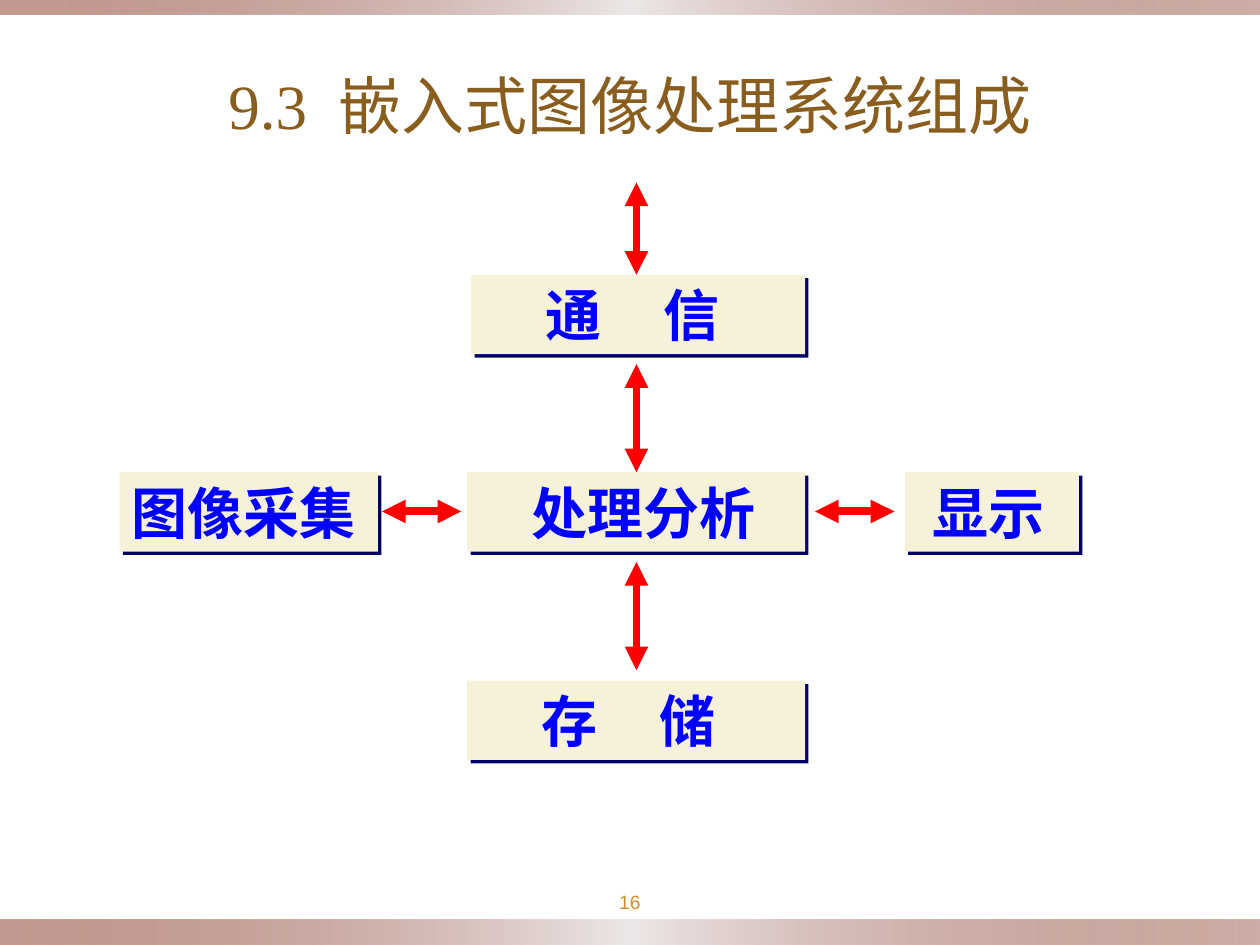
"""Build the slide on the parts of an embedded image processing system."""
import pptx
import pptx.dml.color
import pptx.enum.shapes
import pptx.enum.text
import pptx.oxml
import pptx.oxml.ns
import pptx.util

Cm = pptx.util.Cm
Pt = pptx.util.Pt
ALIGN = pptx.enum.text.PP_ALIGN
RECTANGLE = pptx.enum.shapes.MSO_SHAPE.RECTANGLE
COLORS = {
    "band": "873624", "glow": "EDE8E8", "block": "F6F2D9", "shadow": "000066",
    "label": "0000FF", "arrow": "FF0000", "title": "895D1D", "number": "D08D2C",
}
TITLE = [("9.3", 0), (" ", 9), ("嵌入式图像处理系统组成", 0)]
NUMBER = "16"
BLOCK_HEIGHT = 1.6
ROWS = {"top": 5.54, "middle": 9.52, "bottom": 13.72}
BLOCKS = [
    ("通\t信", 9.5, "top", 6.73, 1.5, ALIGN.LEFT),
    ("处理分析", 9.42, "middle", 6.81, 0.57, ALIGN.CENTER),
    ("存\t储", 9.42, "bottom", 6.81, 1.5, ALIGN.LEFT),
    ("显示", 18.24, "middle", 3.51, 0.56, ALIGN.LEFT),
    ("图像采集", 2.41, "middle", 5.21, 0.25, ALIGN.LEFT),
]
TAB_STOP = 2.38
AXIS_X = 12.83
AXIS_Y = 10.31
VERTICAL_ARROWS = [(3.68, 5.54), (7.34, 9.52), (11.33, 13.51)]
HORIZONTAL_ARROWS = [(7.7, 9.3), (16.43, 18.03)]
BANDS = [(18.54, 0.51), (0, 0.3)]


def rgb(name):
    """Return a named colour."""
    return pptx.dml.color.RGBColor.from_string(COLORS[name])


def element(tag, inner="", attributes=""):
    """Parse one DrawingML element."""
    namespace = pptx.oxml.ns.nsdecls("a")
    return pptx.oxml.parse_xml(f"<a:{tag} {namespace} {attributes}>{inner}</a:{tag}>")


def add_span(para, text, size, font, color, bold=False):
    """Add a formatted run."""
    span = para.add_run()
    span.text = text
    span.font.size = Pt(size)
    span.font.name = font
    span.font.bold = bold
    span.font.color.rgb = rgb(color)
    return span


def set_frame(frame, left=0.25, right=0.25):
    """Centre the text vertically and set the margins."""
    frame.word_wrap = True
    frame.auto_size = pptx.enum.text.MSO_AUTO_SIZE.NONE
    frame.vertical_anchor = pptx.enum.text.MSO_ANCHOR.MIDDLE
    frame.margin_left, frame.margin_right = Cm(left), Cm(right)
    frame.margin_top = frame.margin_bottom = 0


def add_rectangle(page, left, top, width, height):
    """Add a rectangle without line or shadow."""
    box = page.shapes.add_shape(RECTANGLE, Cm(left), Cm(top), Cm(width), Cm(height))
    box.line.fill.background()
    box.shadow.inherit = False
    return box


def add_band(page, top, height):
    """Add a band that fades towards its centre."""
    band = add_rectangle(page, 0, top, 25.4, height)
    band.fill.gradient()
    band.fill.gradient_angle = 0
    stops = band.fill._fill._gradFill.find(pptx.oxml.ns.qn("a:gsLst"))
    stops.clear()
    for place, name, alpha in [(0, "band", 50), (50, "glow", 100), (100, "band", 40)]:
        color = f'<a:srgbClr val="{COLORS[name]}"><a:alpha val="{alpha * 1000}"/></a:srgbClr>'
        stops.append(element("gs", color, f'pos="{place * 1000}"'))


def add_block(page, text, left, row, width, inset, align):
    """Add a labelled block with a hard shadow."""
    box = add_rectangle(page, left, ROWS[row], width, BLOCK_HEIGHT)
    box.fill.solid()
    box.fill.fore_color.rgb = rgb("block")
    effects = box._element.spPr.find(pptx.oxml.ns.qn("a:effectLst"))
    effects.append(element(
        "outerShdw", f'<a:srgbClr val="{COLORS["shadow"]}"/>',
        f'dist="{int(Pt(2.8))}" dir="2700000" algn="ctr" rotWithShape="0"'))
    set_frame(box.text_frame, inset, 0.25 if align == ALIGN.CENTER else 0)
    para = box.text_frame.paragraphs[0]
    if "\t" in text:
        para._p.get_or_add_pPr().append(
            element("tabLst", f'<a:tab pos="{int(Cm(TAB_STOP))}" algn="l"/>'))
    para.alignment = align
    add_span(para, text, 32, "Arial", "label", True)


def add_arrow(page, x1, y1, x2, y2):
    """Add a line with an arrowhead at both ends."""
    straight = pptx.enum.shapes.MSO_CONNECTOR.STRAIGHT
    arrow = page.shapes.add_connector(straight, Cm(x1), Cm(y1), Cm(x2), Cm(y2))
    arrow.line.color.rgb = rgb("arrow")
    arrow.line.width = Pt(4.5)
    for end in ("headEnd", "tailEnd"):
        arrow.line._get_or_add_ln().append(element(end, attributes='type="triangle"'))
    arrow._element.spPr.append(element("effectLst"))


def main():
    """Assemble and save the deck."""
    deck = pptx.Presentation()
    deck.slide_width, deck.slide_height = Cm(25.4), Cm(19.05)
    page = deck.slides.add_slide(deck.slide_layouts[5])

    for band in BANDS:
        add_band(page, *band)
    for block in BLOCKS:
        add_block(page, *block)
    for start, end in VERTICAL_ARROWS:
        add_arrow(page, AXIS_X, start, AXIS_X, end)
    for start, end in HORIZONTAL_ARROWS:
        add_arrow(page, start, AXIS_Y, end, AXIS_Y)

    title = page.shapes.title
    title.left, title.top, title.width, title.height = Cm(1.27), Cm(1.12), Cm(22.86), Cm(1.96)
    set_frame(title.text_frame)
    para = title.text_frame.paragraphs[0]
    para.alignment = ALIGN.CENTER
    for text, spacing in TITLE:
        span = add_span(para, text, 36, "Times New Roman", "title")
        span.font._element.set("spc", str(spacing * 100))

    number = page.shapes.add_textbox(Cm(11.43), Cm(17.78), Cm(2.54), Cm(0.79))
    set_frame(number.text_frame, 0.13, 0.13)
    para = number.text_frame.paragraphs[0]
    para.alignment = ALIGN.CENTER
    add_span(para, NUMBER, 11, "Arial", "number")

    deck.save("out.pptx")


if __name__ == "__main__":
    main()
